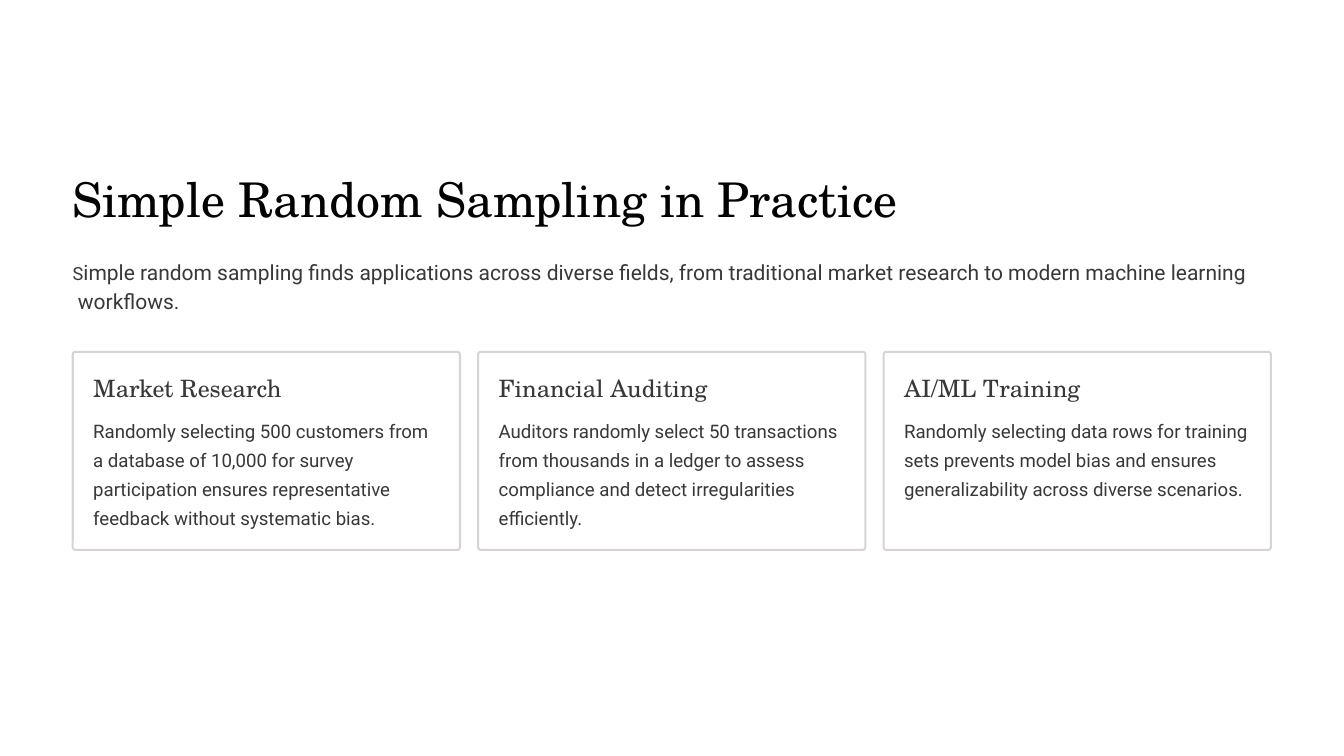
from pptx import Presentation
from pptx.dml.color import RGBColor
from pptx.enum import shapes
from pptx.util import Cm, Pt

BLACK = RGBColor(0x02, 0x02, 0x02)
GREY = RGBColor(0x38, 0x38, 0x38)
EDGE = RGBColor(0xD8, 0xD4, 0xD4)
WHITE = RGBColor(0xFF, 0xFF, 0xFF)
SERIF = "TeX Gyre Schola"
SANS = "Roboto"
WIDTH, HEIGHT = 40.64, 22.86

deck = Presentation()
deck.slide_width, deck.slide_height = Cm(WIDTH), Cm(HEIGHT)
slide = deck.slides.add_slide(deck.slide_layouts[6])


def panel(kind, box):
    """Add a white shape without line or shadow."""
    shape = slide.shapes.add_shape(kind, *[Cm(n) for n in box])
    shape.shadow.inherit = False
    shape.fill.solid()
    shape.fill.fore_color.rgb = WHITE
    shape.line.fill.background()
    return shape


def write(words, box, font=SANS, size=16, color=GREY, lead=25, wrap=False, first=None):
    """Add a text box with one paragraph per line; first is the size of the opening letter."""
    frame = slide.shapes.add_textbox(*[Cm(n) for n in box]).text_frame
    frame.margin_left = frame.margin_right = frame.margin_top = frame.margin_bottom = 0
    frame.word_wrap = wrap
    for i, line in enumerate(words.split("\n")):
        para = frame.add_paragraph() if i else frame.paragraphs[0]
        para.line_spacing = Pt(lead)
        parts = [(line, size)]
        if first and i == 0:
            parts = [(line[0], first), (line[1:], size)]
        for part, pts in parts:
            run = para.add_run()
            run.text = part
            run.font.name = font
            run.font.size = Pt(pts)
            run.font.color.rgb = color


LEFT = 2.2
panel(shapes.MSO_SHAPE.RECTANGLE, (0, 0, WIDTH, HEIGHT))
write("Simple Random Sampling in Practice", (LEFT, 5.08, 25.4, 1.8),
      font=SERIF, size=41, color=BLACK, lead=51)
write("Simple random sampling finds applications across diverse fields, "
      "from traditional market research to modern machine learning\n workflows.",
      (LEFT, 7.72, 36.22, 1.73), size=18, first=15.5)

cards = [
    ("Market Research",
     "Randomly selecting 500 customers from a database of 10,000 for survey "
     "participation ensures representative feedback without systematic bias."),
    ("Financial Auditing",
     "Auditors randomly select 50 transactions from thousands in a ledger to "
     "assess compliance and detect irregularities efficiently."),
    ("AI/ML Training",
     "Randomly selecting data rows for training sets prevents model bias and "
     "ensures generalizability across diverse scenarios."),
]
TOP, WIDE, HIGH, STEP, PAD = 10.64, 11.71, 5.99, 12.26, 0.62

for i, (head, body) in enumerate(cards):
    x = LEFT + i * STEP
    card = panel(shapes.MSO_SHAPE.ROUNDED_RECTANGLE, (x, TOP, WIDE, HIGH))
    card.adjustments[0] = 0.014
    card.line.color.rgb = EDGE
    card.line.width = Pt(1.8)
    write(head, (x + PAD, TOP + PAD, 7.24, 0.91), font=SERIF, size=20.5, lead=25.5)
    write(body, (x + PAD, TOP + 1.86, WIDE - 2 * PAD, 3.53), lead=24.9, wrap=True)

deck.save("out.pptx")
